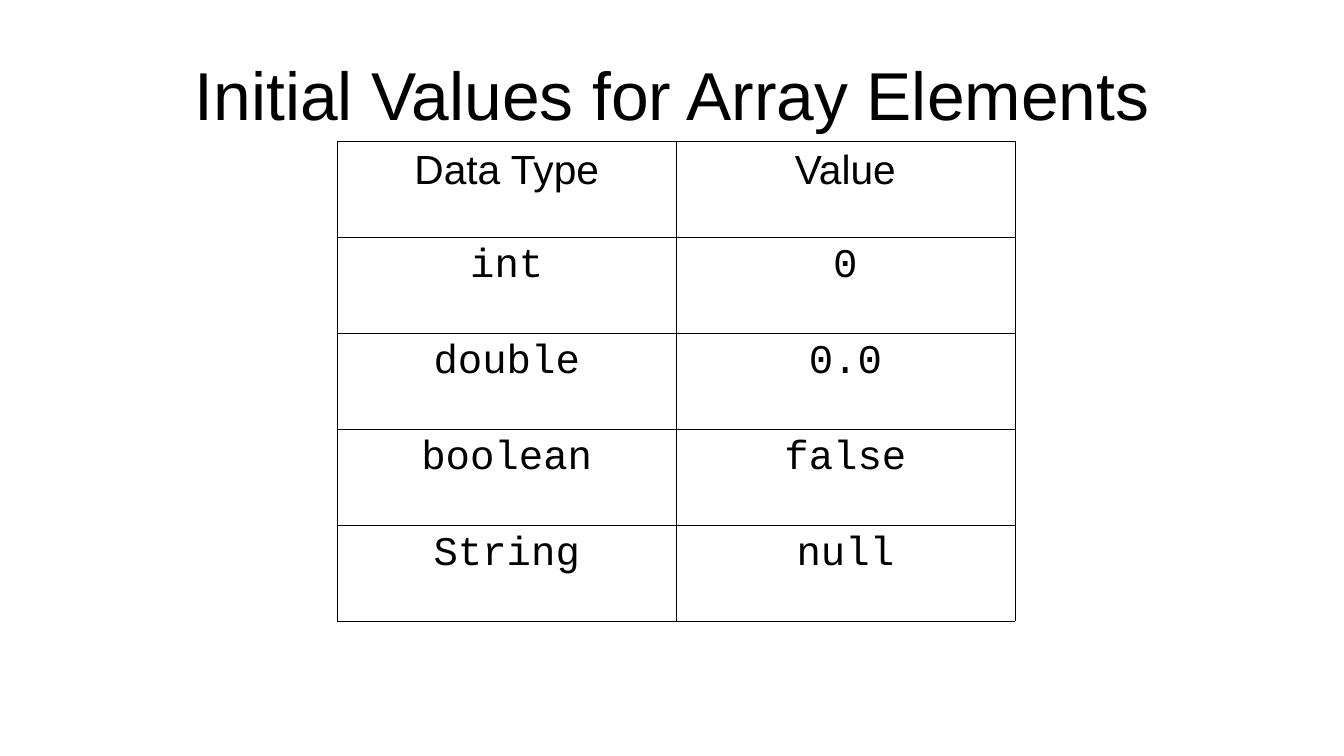
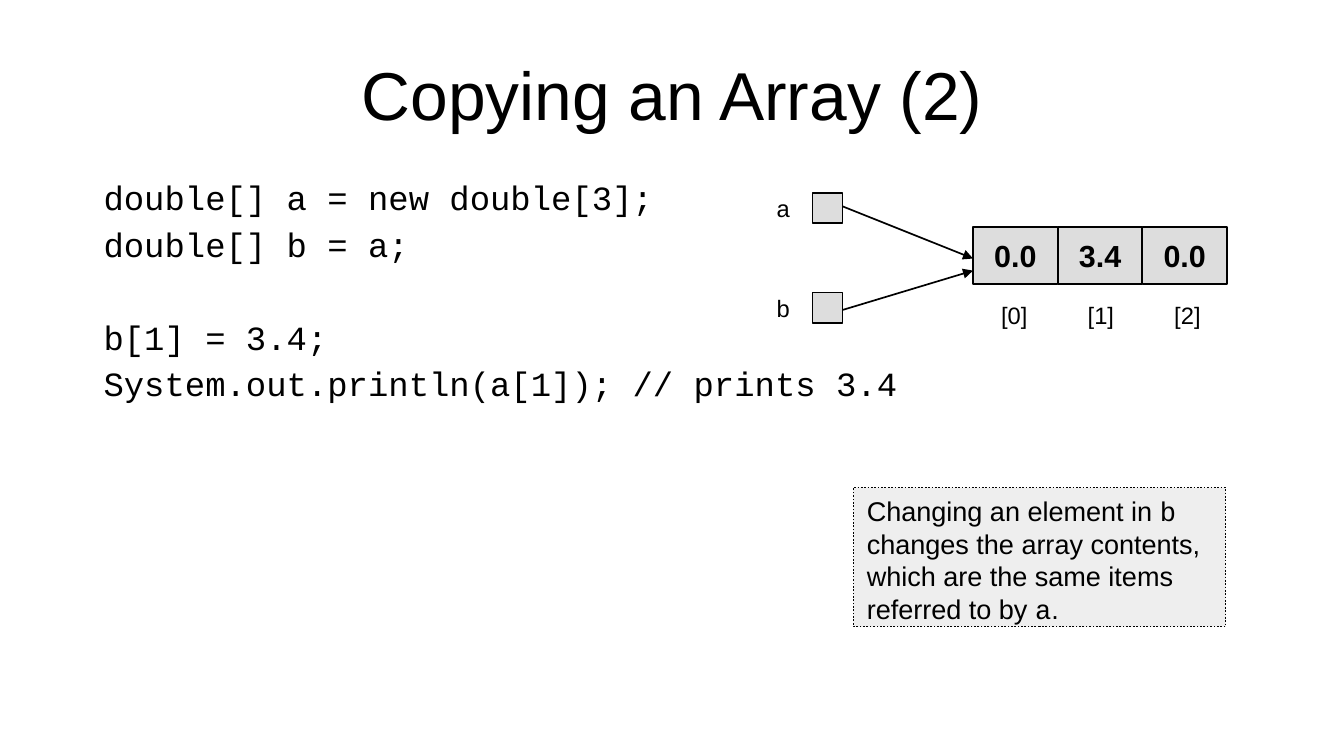
from pptx import Presentation
from pptx.dml.color import RGBColor
from pptx.enum.dml import MSO_LINE
from pptx.enum.shapes import MSO_CONNECTOR, MSO_SHAPE
from pptx.enum.text import MSO_ANCHOR, MSO_AUTO_SIZE, PP_ALIGN
from pptx.oxml.ns import qn
from pptx.util import Inches, Pt
from lxml import etree

BLACK = RGBColor(0x00, 0x00, 0x00)
WHITE = RGBColor(0xFF, 0xFF, 0xFF)
GRAY = RGBColor(0xDD, 0xDD, 0xDD)
PALE = RGBColor(0xEE, 0xEE, 0xEE)
SANS, MONO = "Arial", "Courier New"
LEFT, CENTER = PP_ALIGN.LEFT, PP_ALIGN.CENTER
TOP, MIDDLE = MSO_ANCHOR.TOP, MSO_ANCHOR.MIDDLE
RECT, LINE = MSO_SHAPE.RECTANGLE, MSO_CONNECTOR.STRAIGHT
DOTS, FIXED = MSO_LINE.ROUND_DOT, MSO_AUTO_SIZE.NONE
TITLE_ONLY, TITLE_BODY = 5, 1

deck = Presentation()
deck.slide_width, deck.slide_height = Inches(11.02), Inches(6.2)


def grid(*marks):
    """Turn x, y, x, y... in percent of the slide's size into lengths."""
    sides = (deck.slide_width, deck.slide_height)
    return [round(mark * sides[i % 2] / 100) for i, mark in enumerate(marks)]


def write(frame, *lines, size=14, font=SANS, bold=False, align=LEFT,
          anchor=TOP, pad=(0.1, 0.05), wrap=True, pitch=1):
    """Fill a frame; a line is a string or a list of (text, font) runs."""
    frame.auto_size, frame.word_wrap = FIXED, wrap
    frame.vertical_anchor = anchor
    frame.margin_left = frame.margin_right = Inches(pad[0])
    frame.margin_top = frame.margin_bottom = Inches(pad[1])
    for i, line in enumerate(lines):
        para = frame.add_paragraph() if i else frame.paragraphs[0]
        para.alignment, para.line_spacing = align, pitch
        para.space_before = para.space_after = Pt(0)
        for text, face in [(line, font)] if isinstance(line, str) else line:
            run = para.add_run()
            run.text = text
            run.font.name, run.font.size = face, Pt(size)
            run.font.bold, run.font.color.rgb = bold, BLACK


slides = []
for layout, title in ((TITLE_ONLY, "Initial Values for Array Elements"),
                      (TITLE_BODY, "Copying an Array (2)")):
    slide = deck.slides.add_slide(deck.slide_layouts[layout])
    head = slide.shapes.title
    head.left, head.top, head.width, head.height = grid(5, 4, 90, 16.8)
    write(head.text_frame, title, size=40, align=CENTER, anchor=MIDDLE,
          pad=(0, 0))
    slides.append(slide)

# Slide 1: table of initial values
rows = (("Data Type", "Value"), ("int", "0"), ("double", "0.0"),
        ("boolean", "false"), ("String", "null"))
table = slides[0].shapes.add_table(
    len(rows), 2, *grid(25.1, 18.7, 50.4, 63.5)).table
table.first_row = table.horz_banding = False
for r, row in enumerate(rows):
    for c, text in enumerate(row):
        cell = table.cell(r, c)
        cell.margin_left = cell.margin_right = Inches(0.1)
        cell.margin_top = cell.margin_bottom = Inches(0.05)
        para = cell.text_frame.paragraphs[0]
        para.alignment = CENTER
        run = para.add_run()
        run.text = text
        run.font.name, run.font.size = MONO if r else SANS, Pt(24)
        run.font.color.rgb = BLACK
        props = cell._tc.get_or_add_tcPr()
        for side in ("a:lnL", "a:lnR", "a:lnT", "a:lnB"):
            edge = etree.SubElement(props, qn(side), w=str(Pt(0.06)))
            paint = etree.SubElement(edge, qn("a:solidFill"))
            etree.SubElement(paint, qn("a:srgbClr"), val=str(BLACK))
        cell.fill.solid()
        cell.fill.fore_color.rgb = WHITE

# Slide 2: code
shapes = slides[1].shapes
code = slides[1].placeholders[1]
code.left, code.top, code.width, code.height = grid(6.8, 21.8, 63.2, 30.8)
write(code.text_frame, "double[] a = new double[3];", "double[] b = a;",
      "b[1] = 3.4;", "System.out.println(a[1]); // prints 3.4",
      size=20, font=MONO, pitch=1.15)
for para in code.text_frame.paragraphs:
    props = para._p.get_or_add_pPr()
    props.set("marL", "0")
    props.set("indent", "0")
    etree.SubElement(props, qn("a:buNone"))
code.text_frame.paragraphs[2].space_before = Pt(27)

# Slide 2: array cells, two references and a note, as (place, fill)
LEFT_X, CELL_W, CELL_Y = 72.4, 6.3, 30
BOX_X, BOX_W, BOX_H = 60.45, 2.25, 4.05
refs = (("a", 25.5, 27.3, 34.2), ("b", 38.7, 41, 35.8))
places = [((LEFT_X + i * CELL_W, CELL_Y, CELL_W, 7.6), GRAY)
          for i in range(3)]
places += [((BOX_X, y, BOX_W, BOX_H), GRAY) for _, y, _, _ in refs]
places.append(((63.5, 64.5, 27.7, 18.4), PALE))
boxes = []
for place, fill in places:
    box = shapes.add_shape(RECT, *grid(*place))
    box.shadow.inherit = False
    box.fill.solid()
    box.fill.fore_color.rgb = fill
    box.line.color.rgb, box.line.width = BLACK, Pt(1)
    boxes.append(box)

for box, value in zip(boxes, ("0.0", "3.4", "0.0")):
    write(box.text_frame, value, size=18, bold=True, align=CENTER,
          anchor=MIDDLE, pad=(0.11, 0.06), wrap=False)
note = boxes[-1]
note.line.dash_style = DOTS
write(note.text_frame, [
    ("Changing an element in ", SANS), ("b", MONO),
    (" changes the array contents, which are the same items referred to by ",
     SANS), ("a", MONO), (".", SANS)], size=16, pad=(0.11, 0.06))

labels = [(f"[{i}]", 73.6 + i * 6.44, 39, 3.8) for i in range(3)]
labels += [(name, 56.9, y - 0.6, 2.8) for name, y, _, _ in refs]
for text, x, y, w in labels:
    label = shapes.add_textbox(*grid(x, y, w, 5.2))
    write(label.text_frame, text, wrap=False)

for _, _, start, end in refs:
    arrow = shapes.add_connector(
        LINE, *grid(BOX_X + BOX_W, start, LEFT_X, end))
    arrow.line.color.rgb, arrow.line.width = BLACK, Pt(1)
    etree.SubElement(arrow.line._get_or_add_ln(), qn("a:tailEnd"),
                     type="triangle")
    etree.SubElement(arrow._element.spPr, qn("a:effectLst"))

deck.save("out.pptx")
